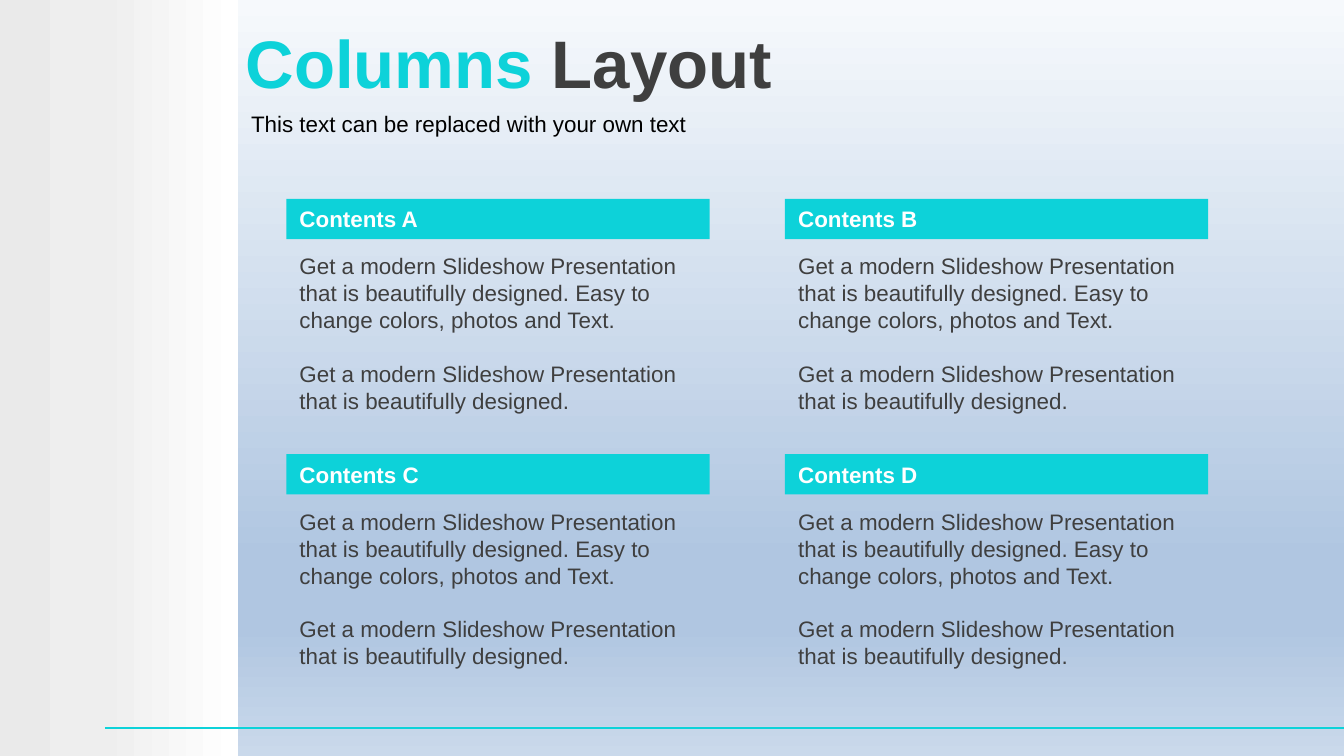
from dataclasses import dataclass

from lxml import etree
from pptx import Presentation
from pptx.dml.color import RGBColor
from pptx.enum.shapes import MSO_CONNECTOR, MSO_SHAPE
from pptx.enum.text import MSO_ANCHOR, PP_ALIGN
from pptx.oxml.ns import qn
from pptx.util import Inches, Pt

RECTANGLE = MSO_SHAPE.RECTANGLE
STRAIGHT = MSO_CONNECTOR.STRAIGHT
TOP, MIDDLE = MSO_ANCHOR.TOP, MSO_ANCHOR.MIDDLE
LEFT = PP_ALIGN.LEFT
BLANK_LAYOUT = 6

SLIDE_WIDTH = 10
SLIDE_HEIGHT = SLIDE_WIDTH * 9 / 16
BAND_WIDTH = 1.77
RULE_LEFT, RULE_TOP = 0.78, 5.42
GRID_LEFT, GRID_TOP = 2.13, 1.48
COLUMN_STEP, ROW_STEP = 3.71, 1.9
CARD_WIDTH, HEADER_HEIGHT = 3.15, 0.3
BODY_OFFSET, BODY_HEIGHT = 0.35, 1.31
COLUMNS = 2

HEADINGS = ["Contents A", "Contents B", "Contents C", "Contents D"]
FIRST_SENTENCE = "Get a modern Slideshow Presentation that is beautifully designed."
BODY = [FIRST_SENTENCE + " Easy to change colors, photos and Text.", FIRST_SENTENCE]


@dataclass(frozen=True)
class Theme:
    font: str = "Arial"
    accent: str = "0DD2D9"
    dark: str = "3F3F3F"
    black: str = "000000"
    white: str = "FFFFFF"
    title_size: int = 36
    text_size: int = 12
    paragraph_gap: float = 14.4
    sky: tuple = ((0, "F6F9FC"), (74, "B0C6E1"), (83, "B0C6E1"), (100, "CAD9EB"))
    band: tuple = ((0, "EAEAEA"), (42, "EEEEEE"), (100, "FFFFFF"))


THEME = Theme()


def fill_gradient(fill, element, stops, angle):
    """Fill with any number of (percent, colour) stops; angle is counter-clockwise."""
    fill.gradient()
    fill.gradient_angle = angle
    stop_list = next(element.iter(qn("a:gsLst")))
    for stop in list(stop_list):
        stop_list.remove(stop)
    for percent, color in stops:
        stop = etree.SubElement(stop_list, qn("a:gs"), pos=str(percent * 1000))
        etree.SubElement(stop, qn("a:srgbClr"), val=color)


def add_rectangle(shapes, left, top, width, height):
    box = shapes.add_shape(
        RECTANGLE, Inches(left), Inches(top), Inches(width), Inches(height)
    )
    box.shadow.inherit = False
    box.line.fill.background()
    return box


def write_text(box, paragraphs, size=THEME.text_size, bold=False, anchor=TOP):
    """Write paragraphs, each a list of (text, colour) spans."""
    frame = box.text_frame
    frame.word_wrap = True
    frame.vertical_anchor = anchor
    font_format = {"name": THEME.font, "size": Pt(size), "bold": bold}
    for index, spans in enumerate(paragraphs):
        para = frame.add_paragraph() if index else frame.paragraphs[0]
        para.alignment = LEFT
        if index:
            para.space_before = Pt(THEME.paragraph_gap)
        for text, color in spans:
            span = para.add_run()
            span.text = text
            for name, value in font_format.items():
                setattr(span.font, name, value)
            span.font.color.rgb = RGBColor.from_string(color)


def add_text(shapes, left, top, width, height, paragraphs, **text_format):
    box = shapes.add_textbox(Inches(left), Inches(top), Inches(width), Inches(height))
    write_text(box, paragraphs, **text_format)


def add_backdrop(page):
    fill_gradient(page.background.fill, page.element, THEME.sky, 270)
    band = add_rectangle(page.shapes, 0, 0, BAND_WIDTH, SLIDE_HEIGHT)
    fill_gradient(band.fill, band.element, THEME.band, 0)
    rule = page.shapes.add_connector(
        STRAIGHT, Inches(RULE_LEFT), Inches(RULE_TOP), Inches(SLIDE_WIDTH), Inches(RULE_TOP)
    )
    rule.line.color.rgb = RGBColor.from_string(THEME.accent)
    rule.line.width = Pt(1)
    etree.SubElement(rule.element.spPr, qn("a:effectLst"))


def add_card(page, column, row, heading):
    left = GRID_LEFT + column * COLUMN_STEP
    top = GRID_TOP + row * ROW_STEP
    shapes = page.shapes.add_group_shape().shapes
    add_text(
        shapes, left, top + BODY_OFFSET, CARD_WIDTH, BODY_HEIGHT,
        [[(text, THEME.dark)] for text in BODY],
    )
    header = add_rectangle(shapes, left, top, CARD_WIDTH, HEADER_HEIGHT)
    header.fill.solid()
    header.fill.fore_color.rgb = RGBColor.from_string(THEME.accent)
    write_text(header, [[(heading, THEME.white)]], bold=True)


def main():
    deck = Presentation()
    deck.slide_width, deck.slide_height = Inches(SLIDE_WIDTH), Inches(SLIDE_HEIGHT)
    page = deck.slides.add_slide(deck.slide_layouts[BLANK_LAYOUT])

    add_backdrop(page)
    add_text(
        page.shapes, 1.73, 0.03, SLIDE_WIDTH - 1.73, 0.85,
        [[("Columns", THEME.accent), (" Layout", THEME.dark)]],
        size=THEME.title_size, bold=True, anchor=MIDDLE,
    )
    for index, heading in enumerate(HEADINGS):
        row, column = divmod(index, COLUMNS)
        add_card(page, column, row, heading)
    add_text(
        page.shapes, BAND_WIDTH, 0.77, SLIDE_WIDTH - BAND_WIDTH, 0.29,
        [[("This text can be replaced with your own text", THEME.black)]],
    )
    deck.save("out.pptx")


if __name__ == "__main__":
    main()
